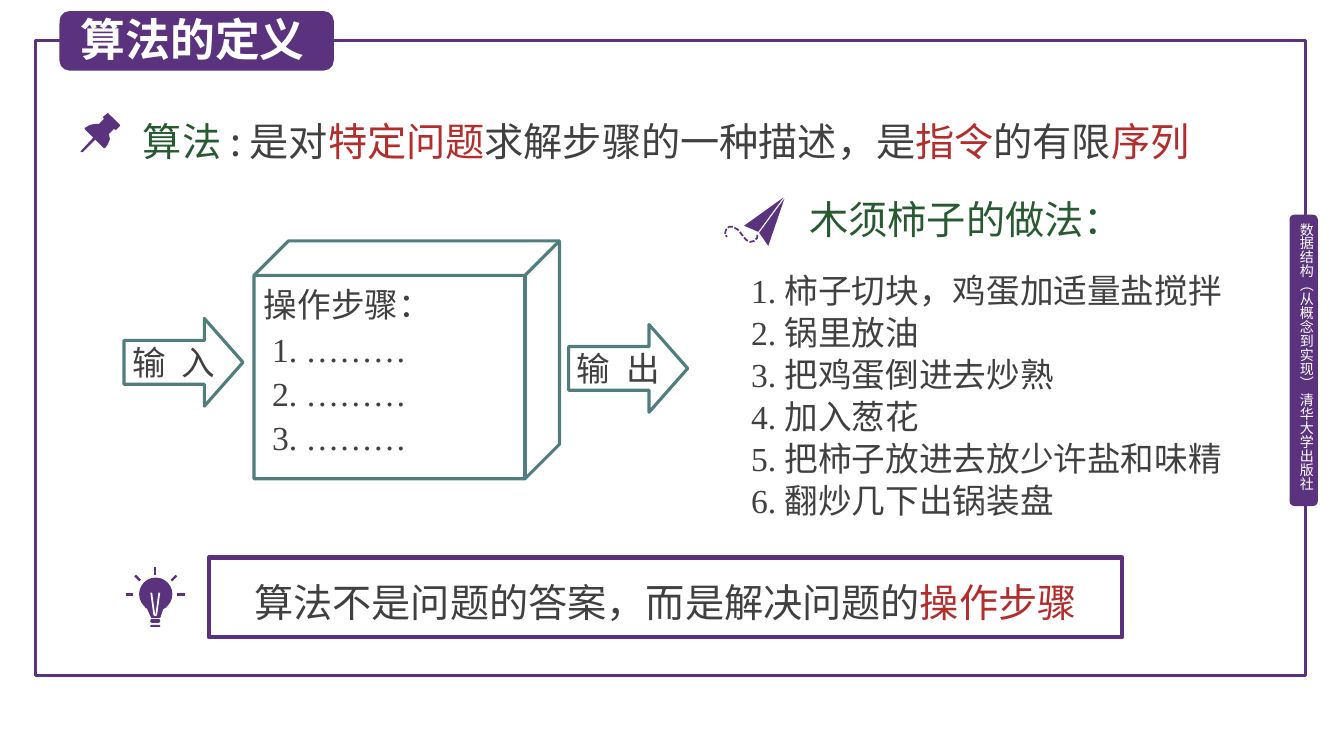
from lxml import etree
from pptx import Presentation
from pptx.dml.color import RGBColor
from pptx.enum.dml import MSO_LINE
from pptx.enum.shapes import MSO_CONNECTOR, MSO_SHAPE
from pptx.enum.text import MSO_ANCHOR, MSO_AUTO_SIZE, PP_ALIGN
from pptx.oxml.ns import qn
from pptx.util import Pt

PX = 9144
C = {"purple": "5A327D", "box": "5C307D", "teal": "507D7D", "green": "285A32",
     "red": "B42D2D", "text": "404040", "white": "FFFFFF"}
SANS, SERIF = "Noto Sans CJK SC", "Times New Roman"
RECT, ROUND, OVAL = MSO_SHAPE.RECTANGLE, MSO_SHAPE.ROUNDED_RECTANGLE, MSO_SHAPE.OVAL
ARROW, CUBE = MSO_SHAPE.RIGHT_ARROW, MSO_SHAPE.CUBE
LEFT, CENTER = PP_ALIGN.LEFT, PP_ALIGN.CENTER
TOP, MIDDLE = MSO_ANCHOR.TOP, MSO_ANCHOR.MIDDLE
NO_FIT, DASH, STRAIGHT = MSO_AUTO_SIZE.NONE, MSO_LINE.SQUARE_DOT, MSO_CONNECTOR.STRAIGHT


def rgb(name):
    """Return the named colour."""
    return RGBColor.from_string(C[name])


def paint(shape, fill=None, line=None, width=2.25):
    """Set fill and outline, and drop the shadow."""
    shape.shadow.inherit = False
    if fill:
        shape.fill.solid()
        shape.fill.fore_color.rgb = rgb(fill)
    else:
        shape.fill.background()
    if line:
        shape.line.color.rgb = rgb(line)
        shape.line.width = Pt(width)
    else:
        shape.line.fill.background()
    return shape


def add_box(s, kind, at, fill=None, line=None, width=2.25, adj=()):
    """Add a painted preset shape."""
    shape = s.shapes.add_shape(kind, *(v * PX for v in at))
    for i, value in enumerate(adj):
        shape.adjustments[i] = value
    return paint(shape, fill, line, width)


def add_outline(s, points, fill=None, line=None, width=1.25):
    """Add a freeform through the points, closed when filled."""
    fb = s.shapes.build_freeform(*points[0], scale=PX)
    fb.add_line_segments(points[1:], close=bool(fill))
    return paint(fb.convert_to_shape(), fill, line, width)


def add_ray(s, x1, y1, x2, y2):
    """Add one short ray of the bulb."""
    ray = s.shapes.add_connector(STRAIGHT, x1 * PX, y1 * PX, x2 * PX, y2 * PX)
    ray.line.color.rgb = rgb("purple")
    ray.line.width = Pt(1.75)
    etree.SubElement(ray._element.spPr, qn("a:effectLst"))


def write(shape, lines, size, font=SANS, color="text", bold=False, spacing=1.0,
          align=LEFT, anchor=TOP, wrap=True, margins=(10, 5, 10, 5),
          indents=(), track=0):
    """Fill a shape with lines, each a list of (text, colour) runs or a string."""
    tf = shape.text_frame
    frame = {"auto_size": NO_FIT, "word_wrap": wrap, "vertical_anchor": anchor}
    sides = ("margin_left", "margin_top", "margin_right", "margin_bottom")
    frame.update(zip(sides, (m * PX for m in margins)))
    for name, value in frame.items():
        setattr(tf, name, value)
    for i, line in enumerate(lines):
        p = tf.paragraphs[0] if i == 0 else tf.add_paragraph()
        pPr = p._p.get_or_add_pPr()
        pPr.set("marL", str(indents[i] * PX if indents else 0))
        pPr.set("indent", "0")
        etree.SubElement(pPr, qn("a:buNone"))
        for name, value in {"alignment": align, "line_spacing": spacing,
                            "space_before": Pt(0)}.items():
            setattr(p, name, value)
        for text, tint in [(line, color)] if isinstance(line, str) else line:
            r = p.add_run()
            r.text = text
            for name, value in {"size": Pt(size), "name": font, "bold": bold}.items():
                setattr(r.font, name, value)
            r.font.color.rgb = rgb(tint)
            rPr = r._r.get_or_add_rPr()
            etree.SubElement(rPr, qn("a:ea")).set("typeface", SANS)
            if track:
                rPr.set("spc", str(track))


def add_text(s, at, lines, size, **style):
    """Add a text box."""
    tb = s.shapes.add_textbox(*(v * PX for v in at))
    write(tb, lines, size, **style)
    return tb


def place(shape, at):
    """Move a placeholder."""
    for name, value in zip(("left", "top", "width", "height"), at):
        setattr(shape, name, value * PX)


def add_pin(s):
    """Draw the push pin."""
    add_outline(s, [(119, 124), (107, 112), (102, 116), (103, 118), (98, 123),
                    (94, 123), (89, 124), (84, 127), (84, 128), (103, 147),
                    (104, 147), (107, 143), (109, 138), (108, 133), (113, 128),
                    (115, 129), (119, 125)], "purple")
    add_outline(s, [(80, 150), (93, 136), (95, 138), (82, 151), (80, 151)], "purple")


def add_bulb(s):
    """Draw the light bulb with its rays."""
    for ray in ((154, 563, 154, 570), (134, 571, 139, 576), (175, 571, 170, 576),
                (125, 590, 132, 590), (176, 590, 183, 590)):
        add_ray(s, *ray)
    add_box(s, OVAL, (138, 573, 33, 33), "purple")
    add_outline(s, [(143, 602), (166, 602), (162, 604), (159, 613), (150, 613),
                    (146, 604)], "purple")
    add_outline(s, [(150, 588), (153, 610), (155, 610), (158, 588)], line="white")
    add_box(s, ROUND, (149, 614, 10, 4), "purple", adj=(0.5,))
    add_box(s, ROUND, (149, 620, 10, 2), "purple", adj=(0.5,))


def add_plane(s):
    """Draw the paper plane and its dashed trail."""
    add_outline(s, [(778, 197), (762, 244), (753, 231)], "purple")
    add_outline(s, [(777, 196), (752, 230), (738, 224)], "purple")
    trail = add_outline(s, [(751, 233), (751, 236), (748, 239), (744, 240), (740, 238),
                            (736, 233), (732, 228), (727, 225), (723, 225), (720, 228),
                            (719, 232), (721, 235)], line="purple")
    trail.line.dash_style = DASH


def main():
    """Build the slide."""
    prs = Presentation()
    prs.slide_width, prs.slide_height = 1333 * PX, 750 * PX
    s = prs.slides.add_slide(prs.slide_layouts[1])
    title, recipe = s.placeholders

    add_box(s, RECT, (35, 40, 1260, 630), line="purple")
    add_box(s, ROUND, (1279, 213, 28, 289), "purple")
    book = add_text(s, (1287, 221, 17, 281), ["数据结构（从概念到实现） 清华大学出版社"], 10,
                    color="white", margins=(0, 0, 0, 0))
    book.text_frame._txBody.bodyPr.set("vert", "eaVert")
    badge = add_box(s, ROUND, (59, 11, 272, 59), "purple")
    badge.element.addnext(title.element)
    place(title, (70, 7, 274, 64))
    write(title, ["算法的定义"], 32, color="white", bold=True)

    add_pin(s)
    add_text(s, (132, 102, 1124, 62), [[
        ("算法 ", "green"), (": 是对", "text"), ("特定问题", "red"),
        ("求解步骤的一种描述，是", "text"), ("指令", "red"), ("的有限", "text"),
        ("序列", "red")]], 28, spacing=1.2)

    for x, y, label in ((123, 316, "输 入"), (564, 322, "输 出")):
        arrow = add_box(s, ARROW, (x, y, 118, 87), line="teal", adj=(0.5, 0.44))
        write(arrow, [label], 24, anchor=MIDDLE, wrap=False, margins=(8, 5, 10, 5),
              track=300)
    cube = add_box(s, CUBE, (252, 239, 303, 236), line="teal", adj=(0.145,))
    steps = ["操作步骤："] + [f"{n}. ………" for n in range(1, 4)]
    write(cube, steps, 24, font=SERIF, spacing=1.1, wrap=False, indents=(0, 8, 8, 8))

    add_plane(s)
    add_text(s, (793, 189, 334, 57), ["木须柿子的做法："], 28, color="green", wrap=False)
    place(recipe, (735, 261, 521, 260))
    dishes = ("柿子切块，鸡蛋加适量盐搅拌", "锅里放油", "把鸡蛋倒进去炒熟", "加入葱花",
              "把柿子放进去放少许盐和味精", "翻炒几下出锅装盘")
    write(recipe, [f"{n}. {dish}" for n, dish in enumerate(dishes, 1)], 24,
          font=SERIF, spacing=Pt(30))

    add_bulb(s)
    summary = add_box(s, RECT, (207, 553, 906, 79), line="box", width=3)
    write(summary, [[("算法不是问题的答案，而是解决问题的", "text"), ("操作步骤", "red")]], 28,
          spacing=Pt(40), align=CENTER, anchor=MIDDLE)
    prs.save("out.pptx")


if __name__ == "__main__":
    main()
